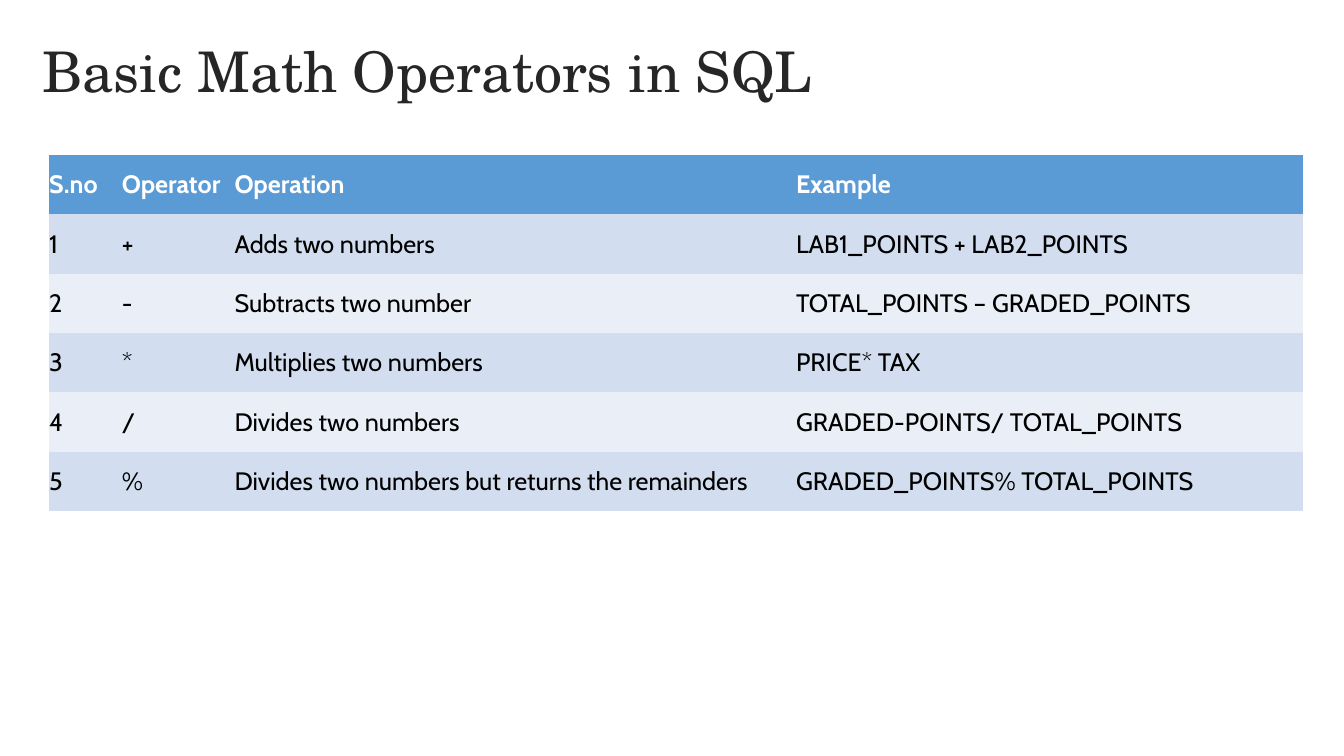
import pptx
import pptx.dml.color
import pptx.enum.text
import pptx.util

Cm = pptx.util.Cm
MIDDLE = pptx.enum.text.MSO_ANCHOR.MIDDLE

HEADING = "Basic Math Operators in SQL"
OPERATORS = [
    ("S.no", "Operator", "Operation", "Example"),
    ("1", "+", "Adds two numbers", "LAB1_POINTS + LAB2_POINTS"),
    ("2", "-", "Subtracts two number", "TOTAL_POINTS – GRADED_POINTS"),
    ("3", "*", "Multiplies two numbers", "PRICE* TAX"),
    ("4", "/", "Divides two numbers", "GRADED-POINTS/ TOTAL_POINTS"),
    ("5", "%", "Divides two numbers but returns the remainders",
     "GRADED_POINTS% TOTAL_POINTS"),
]
COLUMN_WIDTHS = [1.83, 2.84, 14.15, 12.78]
TABLE_HEIGHT = 8.97
NO_STYLE_NO_GRID = "{2D5ABB26-0587-4C30-8999-92F81FD0307C}"
COLORS = {
    "heading": "262626",
    "header_fill": "5B9BD5",
    "header_text": "FFFFFF",
    "odd_fill": "D2DEEF",
    "even_fill": "EAEFF7",
    "body_text": "000000",
}


def rgb(name):
    return pptx.dml.color.RGBColor.from_string(COLORS[name])


def format_text(paragraph, font_name, size, color, bold=False):
    for run in paragraph.runs:
        run.font.name = font_name
        run.font.size = pptx.util.Pt(size)
        run.font.bold = bold
        run.font.color.rgb = rgb(color)


def add_heading(slide):
    heading = slide.shapes.title
    heading.left, heading.top = Cm(0.81), Cm(0.03)
    heading.width, heading.height = Cm(29.21), Cm(3.68)
    frame = heading.text_frame
    frame.text = HEADING
    frame.word_wrap = True
    frame.vertical_anchor = MIDDLE
    line = frame.paragraphs[0]
    line.alignment = pptx.enum.text.PP_ALIGN.LEFT
    line.line_spacing = 0.9
    format_text(line, "TeX Gyre Schola", 40, "heading")


def add_operators(slide):
    frame = slide.shapes.add_table(
        len(OPERATORS), len(COLUMN_WIDTHS), Cm(1.24), Cm(3.91),
        Cm(sum(COLUMN_WIDTHS)), Cm(TABLE_HEIGHT))
    operators = frame.table
    operators.horz_banding = False
    operators._tbl.tblPr.find(
        pptx.oxml.ns.qn("a:tableStyleId")).text = NO_STYLE_NO_GRID
    for column, width in zip(operators.columns, COLUMN_WIDTHS):
        column.width = Cm(width)
    for row, entries in enumerate(OPERATORS):
        header = row == 0
        band = "header_fill" if header else "odd_fill" if row % 2 else "even_fill"
        for column, entry in enumerate(entries):
            cell = operators.cell(row, column)
            cell.text_frame.text = entry
            cell.vertical_anchor = MIDDLE
            cell.margin_left = cell.margin_right = 0
            cell.margin_top = cell.margin_bottom = 0
            cell.fill.solid()
            cell.fill.fore_color.rgb = rgb(band)
            format_text(cell.text_frame.paragraphs[0], "Cabin", 18,
                        "header_text" if header else "body_text", header)


def main():
    deck = pptx.Presentation()
    deck.slide_width, deck.slide_height = Cm(33.87), Cm(19.05)
    slide = deck.slides.add_slide(deck.slide_layouts.get_by_name("Title Only"))
    add_heading(slide)
    add_operators(slide)
    deck.save("out.pptx")


if __name__ == "__main__":
    main()
